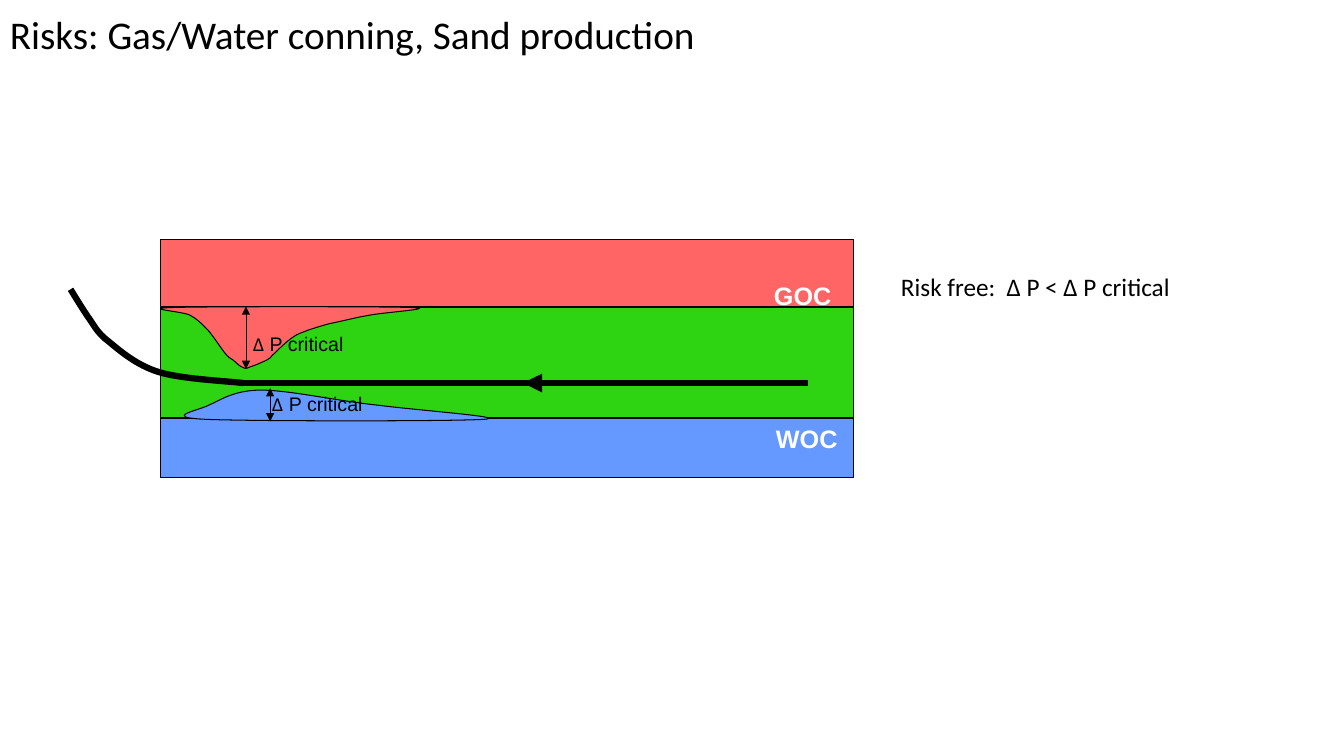
import pptx
import pptx.dml.color
import pptx.enum.shapes
import pptx.enum.text
import pptx.oxml
import pptx.oxml.ns
import pptx.util

# The page is a grid of square cells, ten to the inch
CELL = pptx.util.Inches(0.1)
COLUMNS, ROWS = 133.33, 75

BLACK, WHITE = "000000", "FFFFFF"
GAS, OIL, WATER = "FF6565", "2ED412", "6699FF"

# Reservoir layers share their left edge and width: top row, height, colour
LAYER_LEFT, LAYER_WIDTH = 15.9, 68.8
OIL_LAYER = (30.5, 10.9, OIL)
GAS_LAYER = (23.8, 6.6, GAS)
WATER_LAYER = (41.5, 5.9, WATER)
WELL_ROW = 38
WELL_WEIGHT = 4.5

# Outlines: a start point, then two control points and an end for each curve
GAS_CONE = [
    (17.3, 30.5),
    (13.6, 30.6), (18.4, 30.9), (18.9, 31.3),
    (19.5, 31.6), (20, 32.1), (20.6, 32.7),
    (21.2, 33.4), (21.9, 34.5), (22.3, 35),
    (22.7, 35.5), (22.8, 35.5), (23.1, 35.7),
    (23.4, 35.9), (23.7, 36.3), (24, 36.4),
    (24.2, 36.6), (24.4, 36.6), (24.8, 36.4),
    (25.2, 36.3), (26.1, 35.9), (26.5, 35.7),
    (26.9, 35.5), (26.9, 35.3), (27.3, 35),
    (27.7, 34.6), (28.4, 33.9), (29, 33.5),
    (29.5, 33.1), (30, 33), (30.7, 32.7),
    (31.4, 32.5), (32.2, 32.2), (33.2, 32),
    (34.2, 31.8), (35.3, 31.5), (36.5, 31.3),
    (37.8, 31), (43.9, 30.6), (40.7, 30.5),
    (37.5, 30.4), (20.9, 30.4), (17.3, 30.5),
]
WATER_CONE = [
    (20.4, 41.6),
    (15.9, 41.4), (19.8, 40.7), (20.7, 40.2),
    (21.7, 39.8), (23.1, 38.7), (25.9, 38.7),
    (28.7, 38.7), (33.6, 39.8), (37.5, 40.2),
    (41.3, 40.7), (50.8, 41.4), (48, 41.6),
    (45.2, 41.8), (25, 41.8), (20.4, 41.6),
]
WELL_BEND = [
    (7, 28.7),
    (7.3, 29.2), (8.1, 30.5), (8.7, 31.4),
    (9.3, 32.2), (9.6, 33), (10.8, 33.9),
    (11.9, 34.8), (13.5, 36.2), (15.7, 36.9),
    (17.9, 37.6), (22.4, 37.8), (24.1, 38),
]


def cells(count):
    return pptx.util.Emu(round(count * CELL))


def colour(value):
    return pptx.dml.color.RGBColor.from_string(value)


def paint(shape, fill, weight):
    """Set fill (None for an open line) and a black outline."""
    shape.shadow.inherit = False
    if fill:
        shape.fill.solid()
        shape.fill.fore_color.rgb = colour(fill)
    else:
        shape.fill.background()
    shape.line.color.rgb = colour(BLACK)
    shape.line.width = pptx.util.Pt(weight)


def add_layer(page, top, height, fill):
    shape = page.shapes.add_shape(
        pptx.enum.shapes.MSO_SHAPE.RECTANGLE,
        cells(LAYER_LEFT), cells(top), cells(LAYER_WIDTH), cells(height))
    paint(shape, fill, 0.75)


def add_curve(page, points, fill=None, weight=0.75):
    """Draw a chain of cubic curves, closed when it has a fill."""
    start, *rest = [(cells(left), cells(top)) for left, top in points]
    builder = page.shapes.build_freeform(*start)
    builder.add_line_segments(rest, close=fill is not None)
    shape = builder.convert_to_shape()
    # Join every three straight segments into one curve
    segments = list(shape._element.iter(pptx.oxml.ns.qn("a:lnTo")))
    for index in range(0, len(segments), 3):
        curve = pptx.oxml.parse_xml(
            f'<a:cubicBezTo {pptx.oxml.ns.nsdecls("a")}/>')
        segments[index].addprevious(curve)
        for segment in segments[index:index + 3]:
            curve.append(segment[0])
            segment.getparent().remove(segment)
    paint(shape, fill, weight)


def add_line(page, start, end, weight, arrows=()):
    """Draw a line; arrows names its pointed ends, headEnd before tailEnd."""
    line = page.shapes.add_connector(
        pptx.enum.shapes.MSO_CONNECTOR.STRAIGHT,
        cells(start[0]), cells(start[1]), cells(end[0]), cells(end[1]))
    line.line.color.rgb = colour(BLACK)
    line.line.width = pptx.util.Pt(weight)
    outline = line.line._get_or_add_ln()
    for arrow in arrows:
        outline.append(pptx.oxml.parse_xml(
            f'<a:{arrow} {pptx.oxml.ns.nsdecls("a")} type="triangle"/>'))
    line._element.spPr.append(pptx.oxml.parse_xml(
        f'<a:effectLst {pptx.oxml.ns.nsdecls("a")}/>'))


def add_text(page, place, *spans, size=18, ink=BLACK, bold=False, wrap=False,
             align="LEFT", anchor="TOP", spacing=1, bottom=0.5):
    """Write one paragraph; each span is a (text, font name) pair."""
    box = page.shapes.add_textbox(*(cells(count) for count in place))
    frame = box.text_frame
    frame.word_wrap = wrap
    frame.vertical_anchor = getattr(pptx.enum.text.MSO_ANCHOR, anchor)
    frame.margin_bottom = cells(bottom)
    para = frame.paragraphs[0]
    para.alignment = getattr(pptx.enum.text.PP_ALIGN, align)
    para.line_spacing = spacing
    for text, font in spans:
        span = para.add_run()
        span.text = text
        span.font.name = font
        span.font.size = pptx.util.Pt(size)
        span.font.bold = bold
        span.font.color.rgb = colour(ink)


def main():
    deck = pptx.Presentation()
    deck.slide_width, deck.slide_height = cells(COLUMNS), cells(ROWS)
    page = deck.slides.add_slide(deck.slide_layouts[6])

    # Title, lifted by its bottom margin
    add_text(page, (0, 0, 115, 14.5),
             ("Risks: Gas/Water conning, Sand production", "Calibri"),
             size=28, wrap=True, anchor="MIDDLE", spacing=0.9, bottom=7.7)

    # Reservoir layers and the cones that reach into the oil
    add_layer(page, *OIL_LAYER)
    add_curve(page, GAS_CONE, GAS)
    add_layer(page, *GAS_LAYER)
    add_layer(page, *WATER_LAYER)
    add_curve(page, WATER_CONE, WATER)

    # Well with its flow direction, and the contact labels
    add_line(page, (24, WELL_ROW), (80.2, WELL_ROW), WELL_WEIGHT)
    for name, place in (("GOC", (75.8, 27.3, 7.8, 4)), ("WOC", (76, 41.5, 8.4, 4))):
        add_text(page, place, (name, "Arial"), ink=WHITE, bold=True)
    add_line(page, (57.8, WELL_ROW), (51.9, WELL_ROW), WELL_WEIGHT, ["tailEnd"])
    add_curve(page, WELL_BEND, weight=WELL_WEIGHT)

    # Critical pressure drops: arrow column, its two rows, label corner
    for column, top, bottom, corner in ((24.4, 30.4, 36.6, (24.1, 32.4)),
                                        (26.8, 38.5, 41.8, (26, 38.4))):
        add_line(page, (column, top), (column, bottom), 0.5, ["headEnd", "tailEnd"])
        add_text(page, (*corner, 11, 3.4), ("Δ", "Calibri"), (" P critical", "Arial"),
                 size=14, align="CENTER")

    # Safe condition
    add_text(page, (88.4, 26.4, 29, 7.1), ("Risk free:  Δ P < Δ P critical", "Calibri"))

    deck.save("out.pptx")


if __name__ == "__main__":
    main()
